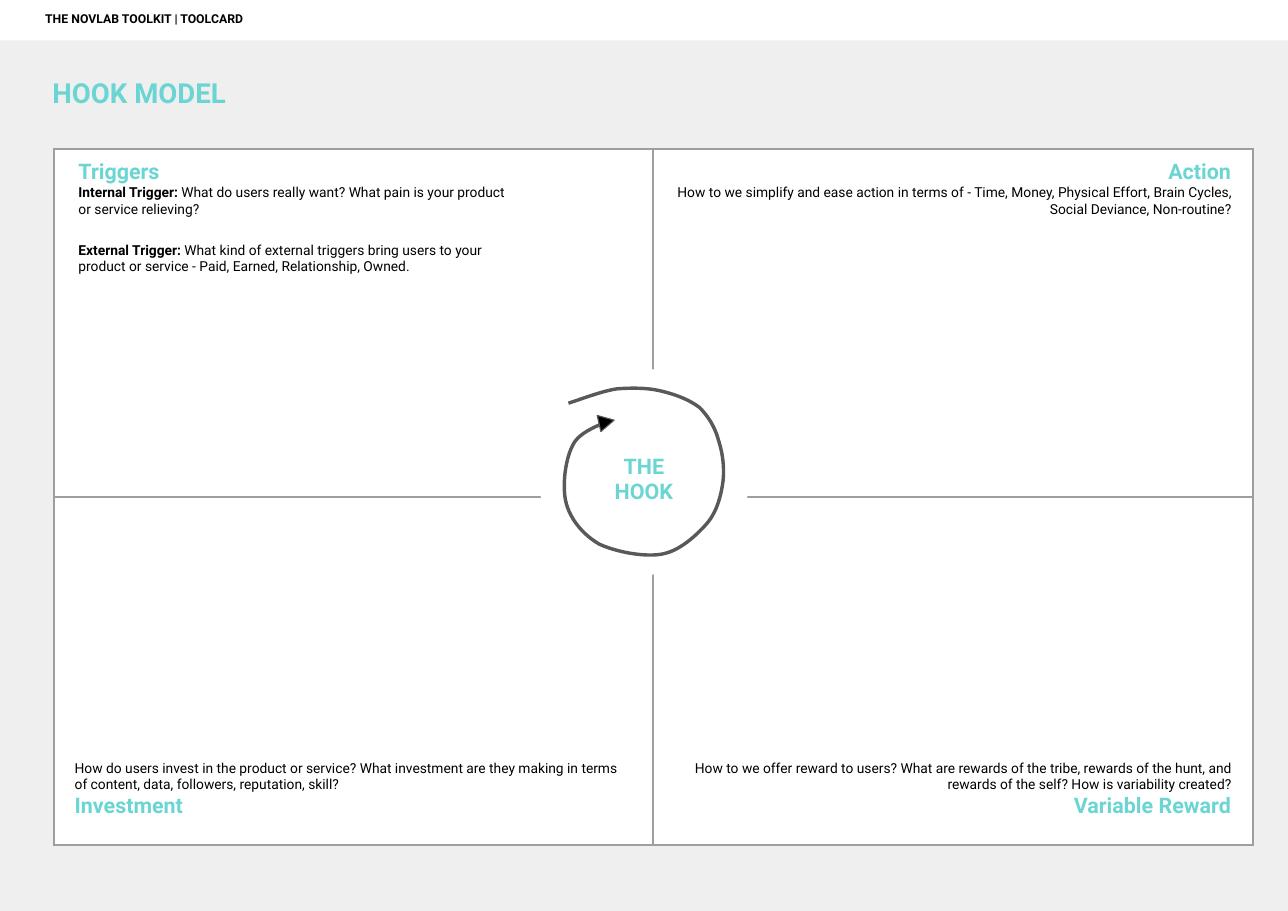
from pptx import Presentation
from pptx.dml.color import RGBColor
from pptx.enum.shapes import MSO_SHAPE
from pptx.enum.text import MSO_ANCHOR, PP_ALIGN
from pptx.oxml import parse_xml
from pptx.oxml.ns import nsdecls
from pptx.util import Pt

TURQUOISE = RGBColor(0x6B, 0xD5, 0xD3)
BLACK = RGBColor(0, 0, 0)
WHITE = RGBColor(255, 255, 255)
PALE_GREY = RGBColor(0xEF, 0xEF, 0xEF)
BORDER_GREY = RGBColor(0x9E, 0x9E, 0x9E)
DARK_GREY = RGBColor(0x59, 0x59, 0x59)
WIDTH, HEIGHT = 841.68, 595.44


def add_run(paragraph, text, size, color, bold):
    run = paragraph.add_run()
    run.text = text
    run.font.name = "Roboto"
    run.font.size = Pt(size)
    run.font.bold = bold
    run.font.color.rgb = color


def add_plain_shape(kind, left, top, width, height, color):
    shape = slide.shapes.add_shape(kind, Pt(left), Pt(top), Pt(width), Pt(height))
    shape.shadow.inherit = False
    shape.fill.solid()
    shape.fill.fore_color.rgb = color
    shape.line.fill.background()
    return shape


presentation = Presentation()
presentation.slide_width, presentation.slide_height = Pt(WIDTH), Pt(HEIGHT)
slide = presentation.slides.add_slide(presentation.slide_layouts[6])

add_plain_shape(MSO_SHAPE.RECTANGLE, 0, 0, WIDTH, HEIGHT, PALE_GREY)

triggers = [
    [("Triggers", 14, TURQUOISE, True)],
    [("Internal Trigger: ", 9, BLACK, True),
     ("What do users really want? What pain is your product or service relieving?", 9, BLACK, False)],
    [("External Trigger: ", 9, BLACK, True),
     ("What kind of external triggers bring users to your product or service - "
      "Paid, Earned, Relationship, Owned.", 9, BLACK, False)],
]
action = [
    [("Action", 14, TURQUOISE, True)],
    [("How to we simplify and ease action in terms of - Time, Money, Physical Effort, "
      "Brain Cycles, Social Deviance, Non-routine?", 9, BLACK, False)],
]
investment = [
    [("How do users invest in the product or service? What investment are they making "
      "in terms of content, data, followers, reputation, skill?", 9, BLACK, False)],
    [("Investment", 14, TURQUOISE, True)],
]
variable_reward = [
    [("How to we offer reward to users? What are rewards of the tribe, rewards of the hunt, "
      "and rewards of the self? How is variability created?", 9, BLACK, False)],
    [("Variable Reward", 14, TURQUOISE, True)],
]
quadrants = [
    (0, 0, triggers, 16, 90),
    (0, 1, action, 7.2, 14.2),
    (1, 0, investment, 13.5, 18),
    (1, 1, variable_reward, 7.2, 14.2),
]

table = slide.shapes.add_table(2, 2, Pt(35.3), Pt(97.2), Pt(783.4), Pt(455.4)).table
table.first_row = table.horz_banding = False
for row, column, paragraphs, margin_left, margin_right in quadrants:
    cell = table.cell(row, column)
    cell.fill.solid()
    cell.fill.fore_color.rgb = WHITE
    cell.margin_left, cell.margin_right = Pt(margin_left), Pt(margin_right)
    cell.margin_top, cell.margin_bottom = Pt(7.2), Pt(17.5)
    cell.vertical_anchor = MSO_ANCHOR.BOTTOM if row else MSO_ANCHOR.TOP
    properties = cell._tc.get_or_add_tcPr()
    for position, side in enumerate(("lnL", "lnR", "lnT", "lnB")):
        properties.insert(position, parse_xml(
            f'<a:{side} {nsdecls("a")} w="{Pt(1.5)}"><a:solidFill>'
            f'<a:srgbClr val="{BORDER_GREY}"/></a:solidFill></a:{side}>'))
    text_frame = cell.text_frame
    for index, pieces in enumerate(paragraphs):
        paragraph = text_frame.add_paragraph() if index else text_frame.paragraphs[0]
        paragraph.alignment = PP_ALIGN.RIGHT if column else PP_ALIGN.LEFT
        if index == 2:
            paragraph.space_before = Pt(16.4)
        for piece in pieces:
            add_run(paragraph, *piece)

add_plain_shape(MSO_SHAPE.OVAL, 351.4, 241.2, 139, 134.6, WHITE)

loop_start = (5.16, 3.66)
loop_curves = [
    ((5.23, 3.64), (5.46, 3.55), (5.6, 3.53)),
    ((5.74, 3.52), (5.88, 3.52), (6, 3.55)),
    ((6.13, 3.58), (6.26, 3.63), (6.35, 3.7)),
    ((6.43, 3.78), (6.49, 3.88), (6.52, 3.99)),
    ((6.56, 4.11), (6.58, 4.26), (6.56, 4.39)),
    ((6.54, 4.52), (6.5, 4.66), (6.41, 4.76)),
    ((6.31, 4.87), (6.17, 5), (6.01, 5.03)),
    ((5.85, 5.06), (5.59, 5.01), (5.44, 4.94)),
    ((5.3, 4.86), (5.18, 4.72), (5.14, 4.57)),
    ((5.1, 4.42), (5.13, 4.17), (5.2, 4.04)),
    ((5.26, 3.91), (5.48, 3.85), (5.54, 3.81)),
]
steps = 12
loop_points = []
start = loop_start
for first, second, end in loop_curves:
    for step in range(1, steps + 1):
        t = step / steps
        weights = ((1 - t) ** 3, 3 * t * (1 - t) ** 2, 3 * t ** 2 * (1 - t), t ** 3)
        loop_points.append(tuple(
            Pt(72 * sum(weight * value for weight, value in zip(weights, values)))
            for values in zip(start, first, second, end)))
    start = end

builder = slide.shapes.build_freeform(Pt(72 * loop_start[0]), Pt(72 * loop_start[1]))
builder.add_line_segments(loop_points, close=False)
loop = builder.convert_to_shape()
loop.shadow.inherit = False
loop.fill.background()
loop.line.color.rgb = DARK_GREY
loop.line.width = Pt(2.25)

arrowhead = add_plain_shape(MSO_SHAPE.ISOSCELES_TRIANGLE, 391, 270.7, 10.8, 10.1, BLACK)
arrowhead.rotation = 77.4
arrowhead.line.color.rgb = DARK_GREY
arrowhead.line.width = Pt(0.75)

header = add_plain_shape(MSO_SHAPE.RECTANGLE, 0, 0, WIDTH, 26.4, WHITE)
hook_label = slide.shapes.add_textbox(Pt(383), Pt(288.7), Pt(75.6), Pt(47.5))
title = slide.shapes.add_textbox(Pt(0), Pt(42.3), Pt(478), Pt(54))
labels = [
    (header, "THE NOVLAB TOOLKIT | TOOLCARD", 8, BLACK, 29.5, PP_ALIGN.LEFT),
    (hook_label, "THE HOOK", 14, TURQUOISE, 7.2, PP_ALIGN.CENTER),
    (title, "HOOK MODEL", 18, TURQUOISE, 34.3, PP_ALIGN.LEFT),
]
for shape, text, size, color, margin_left, alignment in labels:
    text_frame = shape.text_frame
    text_frame.word_wrap = True
    text_frame.vertical_anchor = MSO_ANCHOR.TOP
    text_frame.margin_left = Pt(margin_left)
    text_frame.margin_top = text_frame.margin_right = text_frame.margin_bottom = Pt(7.2)
    paragraph = text_frame.paragraphs[0]
    paragraph.alignment = alignment
    add_run(paragraph, text, size, color, True)

presentation.save("out.pptx")
